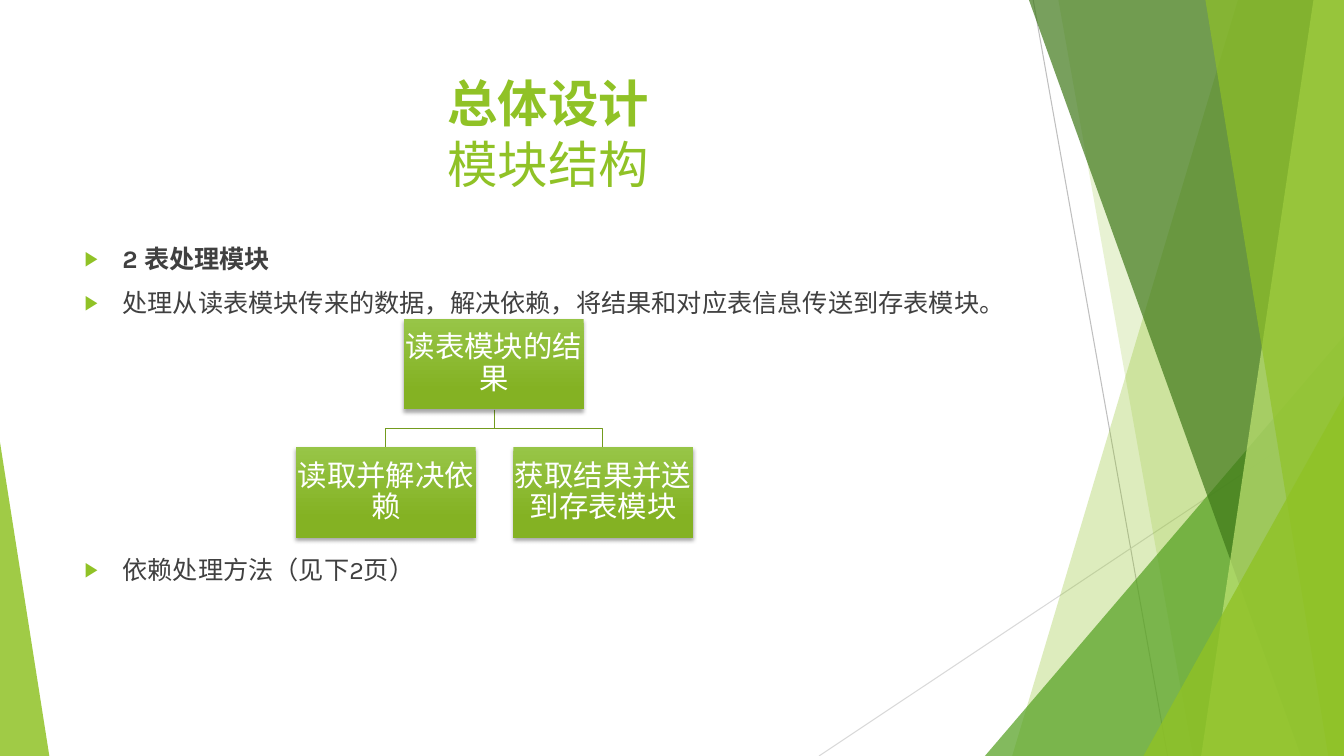
from lxml import etree
from pptx import Presentation
from pptx.dml import color as c
from pptx.enum import shapes, text
from pptx.oxml import ns
from pptx import util as u

PX = 9525
FONT = "Karla"
GREEN = "90C226"


def paint(color, code, alpha=100):
    color.rgb = c.RGBColor.from_string(code)
    if alpha < 100:
        node = color._xFill.find(ns.qn("a:srgbClr"))
        etree.SubElement(node, ns.qn("a:alpha"), val=str(alpha * 1000))


def trace(points, close):
    form = slide.shapes.build_freeform(*points[0], scale=PX)
    form.add_line_segments(points[1:], close=close)
    shape = form.convert_to_shape()
    shape.shadow.inherit = False
    return shape


deck = Presentation()
deck.slide_width, deck.slide_height = 1280 * PX, 720 * PX
slide = deck.slides.add_slide(deck.slide_layouts[1])
tree = slide.shapes

for x1, y1, x2, y2, code in [(984, 0, 1112, 720, "BFBFBF"), (1280, 387, 780, 720, "D9D9D9")]:
    line = tree.add_connector(shapes.MSO_CONNECTOR.STRAIGHT, *[n * PX for n in (x1, y1, x2, y2)])
    paint(line.line.color, code)
    line.line.width = u.Pt(0.75)
    etree.SubElement(line._element.spPr, ns.qn("a:effectLst"))

facets = [
    ("band", 1179, 964, GREEN, 30),
    ("band", 1008, 1136, GREEN, 20),
    ("peak", 938, 320, 342, 1, "54A021", 72),
    ("band", 980, 1239, "3F7819", 70),
    ("band", 1251, 1144, "C0E474", 70),
    ("band", 1148, 1265, GREEN, 65),
    ("peak", 1089, 377, 191, 1, GREEN, 80),
    ("peak", 0, 421, 47, 0, GREEN, 85),
]
for kind, *dims, code, alpha in facets:
    if kind == "band":
        top, base = dims
        facet = trace([(top, 0), (1280, 0), (1280, 720), (base, 720)], True)
    else:
        x, y, w, tip = dims
        facet = tree.add_shape(shapes.MSO_SHAPE.ISOSCELES_TRIANGLE, x * PX, y * PX, w * PX, (720 - y) * PX)
        facet.adjustments[0] = tip
        facet.shadow.inherit = False
    facet.fill.solid()
    paint(facet.fill.fore_color, code, alpha)
    facet.line.fill.background()

title, body = tree.title, slide.placeholders[1]
for holder, y, h in [(title, 64, 138), (body, 227, 407)]:
    holder.left, holder.top, holder.width, holder.height = [n * PX for n in (71, y, 902, h)]
    holder.text_frame.vertical_anchor = text.MSO_ANCHOR.TOP
    holder.text_frame.auto_size = text.MSO_AUTO_SIZE.NONE
    tree._spTree.append(holder._element)

head = title.text_frame.paragraphs[0]
head.alignment = text.PP_ALIGN.CENTER
head.font.name, head.font.size = FONT, u.Pt(36)
paint(head.font.color, GREEN)
run = head.add_run()
run.text, run.font.bold = "总体设计", True
head.add_line_break()
run = head.add_run()
run.text, run.font.bold = "模块结构", False

items = [
    ("2 表处理模块", 0, True),
    ("处理从读表模块传来的数据，解决依赖，将结果和对应表信息传送到存表模块。", 10, False),
    ("依赖处理方法（见下2页）", 169, False),
]
for i, (words, gap, bold) in enumerate(items):
    para = body.text_frame.paragraphs[0] if i == 0 else body.text_frame.add_paragraph()
    para.text = words
    para.space_before = u.Pt(gap)
    props = para._p.get_or_add_pPr()
    props.set("marL", str(36 * PX))
    props.set("indent", str(-36 * PX))
    tint = etree.SubElement(props, ns.qn("a:buClr"))
    etree.SubElement(tint, ns.qn("a:srgbClr"), val=GREEN)
    etree.SubElement(props, ns.qn("a:buSzPct"), val="80000")
    etree.SubElement(props, ns.qn("a:buChar"), char="▶")
    para.font.name, para.font.size, para.font.bold = FONT, u.Pt(18), bold
    paint(para.font.color, "404040")

for x in (574, 367):
    link = trace([(471, 390), (471, 408), (x, 408), (x, 426)], False)
    link.fill.background()
    paint(link.line.color, "739B1E")
    link.line.width = u.Pt(1)

for x, y, words in [
    (385, 304, "读表模块的结果"),
    (282, 426, "读取并解决依赖"),
    (489, 426, "获取结果并送到存表模块"),
]:
    box = tree.add_shape(shapes.MSO_SHAPE.RECTANGLE, x * PX, y * PX, 171 * PX, 86 * PX)
    box.line.fill.background()
    box.fill.gradient()
    box.fill.gradient_angle = 270
    for stop, place, code in zip(box.fill.gradient_stops, (0, 0.78), ("97C547", "84B223")):
        stop.position = place
        paint(stop.color, code)
    box.shadow.inherit = False
    glow = etree.SubElement(box._element.spPr.find(ns.qn("a:effectLst")), ns.qn("a:outerShdw"),
                            blurRad=str(u.Pt(3)), dist=str(u.Pt(2)), dir="5400000", rotWithShape="0")
    shade = etree.SubElement(glow, ns.qn("a:srgbClr"), val="000000")
    etree.SubElement(shade, ns.qn("a:alpha"), val="35000")
    frame = box.text_frame
    frame.word_wrap = True
    frame.vertical_anchor = text.MSO_ANCHOR.MIDDLE
    frame.margin_left = frame.margin_right = frame.margin_top = frame.margin_bottom = PX
    para = frame.paragraphs[0]
    para.text = words
    para.alignment = text.PP_ALIGN.CENTER
    para.line_spacing = 0.9
    para.font.name, para.font.size = FONT, u.Pt(21)
    paint(para.font.color, "FFFFFF")

deck.save("out.pptx")
